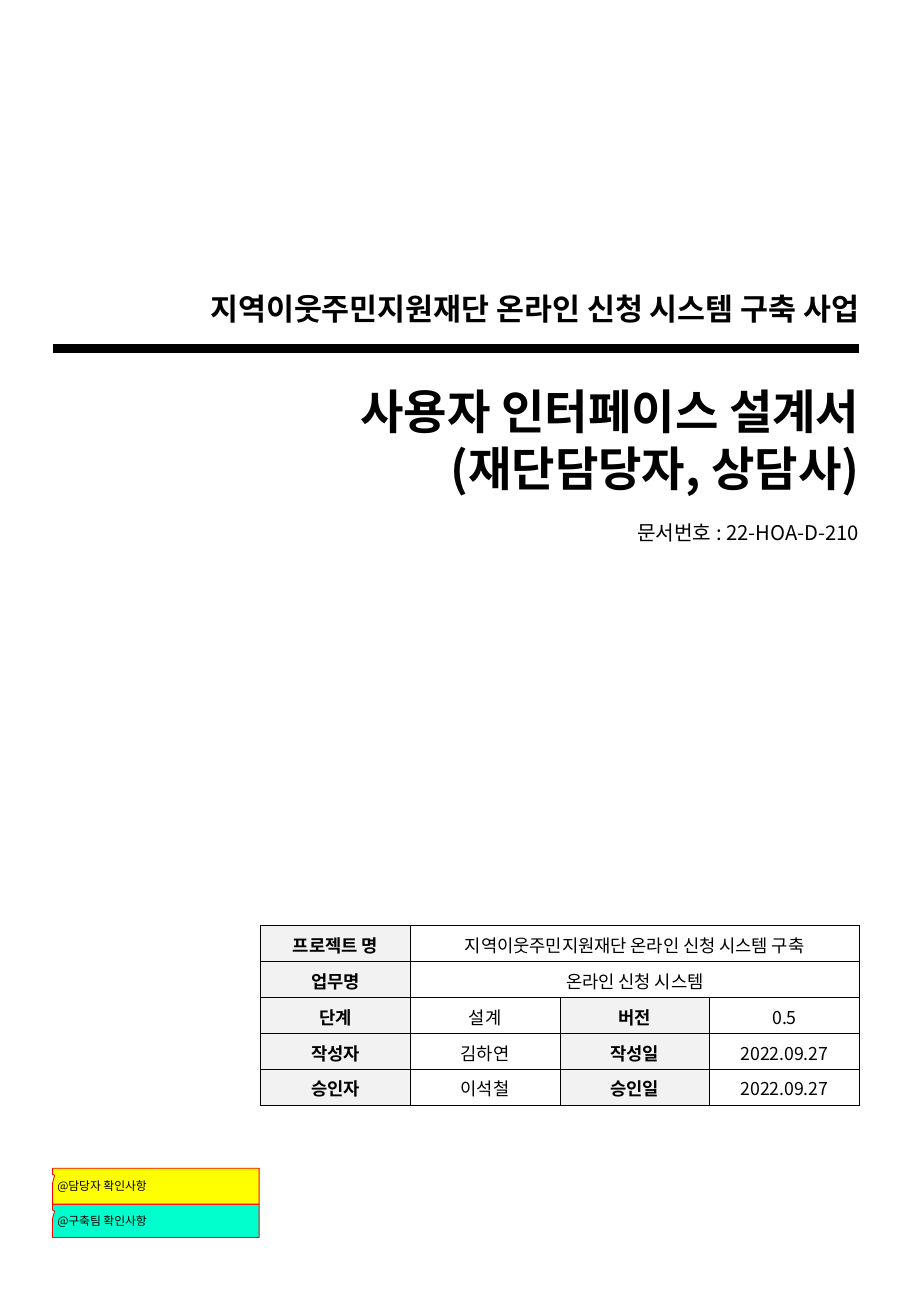
from dataclasses import dataclass

from lxml import etree
from pptx import Presentation
from pptx import util as u
from pptx.dml.color import RGBColor
from pptx.enum import shapes, text
from pptx.oxml import ns

# Content
PROJECT = "지역이웃주민지원재단 온라인 신청 시스템 구축 사업"
TITLE = ["사용자 인터페이스 설계서", "(재단담당자, 상담사)"]
DOCUMENT_NUMBER = "문서번호 : 22-HOA-D-210"
DETAILS = [
    ("프로젝트 명", "지역이웃주민지원재단 온라인 신청 시스템 구축"),
    ("업무명", "온라인 신청 시스템"),
    ("단계", "설계", "버전", "0.5"),
    ("작성자", "김하연", "작성일", "2022.09.27"),
    ("승인자", "이석철", "승인일", "2022.09.27"),
]
# Callouts: text, fill, top and height in cm
CALLOUTS = [
    ("@구축팀 확인사항", "00FFCC", 25.19, 0.69),
    ("@담당자 확인사항", "FFFF00", 24.43, 0.75),
]


@dataclass(frozen=True)
class Theme:
    font: str = "Noto Sans CJK KR"
    ink: str = "000000"
    label: str = "F2F2F2"
    paper: str = "FFFFFF"
    outline: str = "FF0000"
    title: float = 28
    project: float = 18
    number: float = 12
    table: float = 10.5
    callout: float = 7
    leading: float = 1.21


THEME = Theme()
LEFT, RIGHT = 1.1, 17.97
COLUMN, ROW, COLUMNS = 3.13, 0.75, 4
TABLE_TOP = 19.36
RIGHT_ALIGNED = text.PP_ALIGN.RIGHT


def rgb(code):
    return RGBColor.from_string(code)


def write(frame, lines, size, align, bold=False):
    """Fill a text frame with one paragraph per line."""
    for index, line in enumerate(lines):
        para = frame.add_paragraph() if index else frame.paragraphs[0]
        para.alignment = align
        para.space_before = para.space_after = u.Pt(0)
        para.line_spacing = u.Pt(round(size * THEME.leading, 1))
        span = para.add_run()
        span.text = line
        font = span.font
        font.name, font.size, font.bold = THEME.font, u.Pt(size), bold
        font.color.rgb = rgb(THEME.ink)
        etree.SubElement(span._r.get_or_add_rPr(), ns.qn("a:ea"), typeface=THEME.font)


def set_frame(frame, margins, anchor):
    frame.word_wrap = True
    frame.auto_size = text.MSO_AUTO_SIZE.NONE
    frame.vertical_anchor = anchor
    (frame.margin_left, frame.margin_top,
     frame.margin_right, frame.margin_bottom) = map(u.Cm, margins)


def place_heading(box, top, width, height, lines, size, bold):
    """Set a heading flush with the right margin."""
    box.left, box.top = u.Cm(RIGHT - width), u.Cm(top)
    box.width, box.height = u.Cm(width), u.Cm(height)
    set_frame(box.text_frame, (0.25, 0.13, 0, 0.13), text.MSO_ANCHOR.TOP)
    write(box.text_frame, lines, size, RIGHT_ALIGNED, bold)


def add_heading(page, *args):
    place_heading(page.shapes.add_textbox(0, 0, 0, 0), *args)


def add_rule(page):
    rule = page.shapes.add_connector(shapes.MSO_CONNECTOR.STRAIGHT, u.Cm(LEFT),
                                     u.Cm(7.29), u.Cm(RIGHT), u.Cm(7.29))
    rule.line.color.rgb = rgb(THEME.ink)
    rule.line.width = u.Pt(5)
    etree.SubElement(rule._element.spPr, ns.qn("a:effectLst"))


def set_borders(cell):
    props = cell._tc.get_or_add_tcPr()
    for index, side in enumerate(("lnL", "lnR", "lnT", "lnB")):
        line = etree.Element(ns.qn(f"a:{side}"), w=str(u.Pt(0.5)))
        fill = etree.SubElement(line, ns.qn("a:solidFill"))
        etree.SubElement(fill, ns.qn("a:srgbClr"), val=THEME.ink)
        props.insert(index, line)


def add_details(page):
    width = COLUMN * COLUMNS
    table = page.shapes.add_table(
        len(DETAILS), COLUMNS, u.Cm(RIGHT - width), u.Cm(TABLE_TOP),
        u.Cm(width), u.Cm(ROW * len(DETAILS))).table
    table.first_row = table.horz_banding = False
    for column in table.columns:
        column.width = u.Cm(COLUMN)
    for r, values in enumerate(DETAILS):
        table.rows[r].height = u.Cm(ROW)
        for c in range(COLUMNS):
            cell = table.cell(r, c)
            is_label = c % 2 == 0 and c < len(values)
            cell.fill.solid()
            cell.fill.fore_color.rgb = rgb(THEME.label if is_label else THEME.paper)
            set_borders(cell)
            cell.margin_left = cell.margin_right = u.Cm(0.2)
            cell.margin_top, cell.margin_bottom = u.Cm(0.18), u.Cm(0.05)
            cell.vertical_anchor = text.MSO_ANCHOR.MIDDLE
            if c < len(values):
                write(cell.text_frame, [values[c]], THEME.table,
                      text.PP_ALIGN.CENTER, is_label)
        if len(values) < COLUMNS:
            table.cell(r, 1).merge(table.cell(r, COLUMNS - 1))


def add_callout(page, label, fill, top, height):
    box = page.shapes.add_shape(shapes.MSO_SHAPE.RECTANGULAR_CALLOUT, u.Cm(LEFT),
                                u.Cm(top), u.Cm(4.32), u.Cm(height))
    box.adjustments[0], box.adjustments[1] = -0.49, -0.3
    box.shadow.inherit = False
    box.fill.solid()
    box.fill.fore_color.rgb = rgb(fill)
    box.line.color.rgb = rgb(THEME.outline)
    box.line.width = u.Pt(0.5)
    set_frame(box.text_frame, (0.1, 0.13, 0.1, 0.13), text.MSO_ANCHOR.MIDDLE)
    write(box.text_frame, [label], THEME.callout, text.PP_ALIGN.LEFT)


def main():
    deck = Presentation()
    deck.slide_width, deck.slide_height = u.Cm(19.05), u.Cm(27.52)
    page = deck.slides.add_slide(deck.slide_layouts[5])

    # Project name and rule
    add_heading(page, 5.94, 15.5, 1.02, [PROJECT], THEME.project, True)
    add_rule(page)

    # Document details
    add_details(page)

    # Review callouts
    for callout in CALLOUTS:
        add_callout(page, *callout)

    # Title and document number
    place_heading(page.shapes.title, 7.86, 11.94, 2.64, TITLE, THEME.title, True)
    add_heading(page, 10.74, 5.28, 0.76, [DOCUMENT_NUMBER], THEME.number, False)

    deck.save("out.pptx")


if __name__ == "__main__":
    main()
